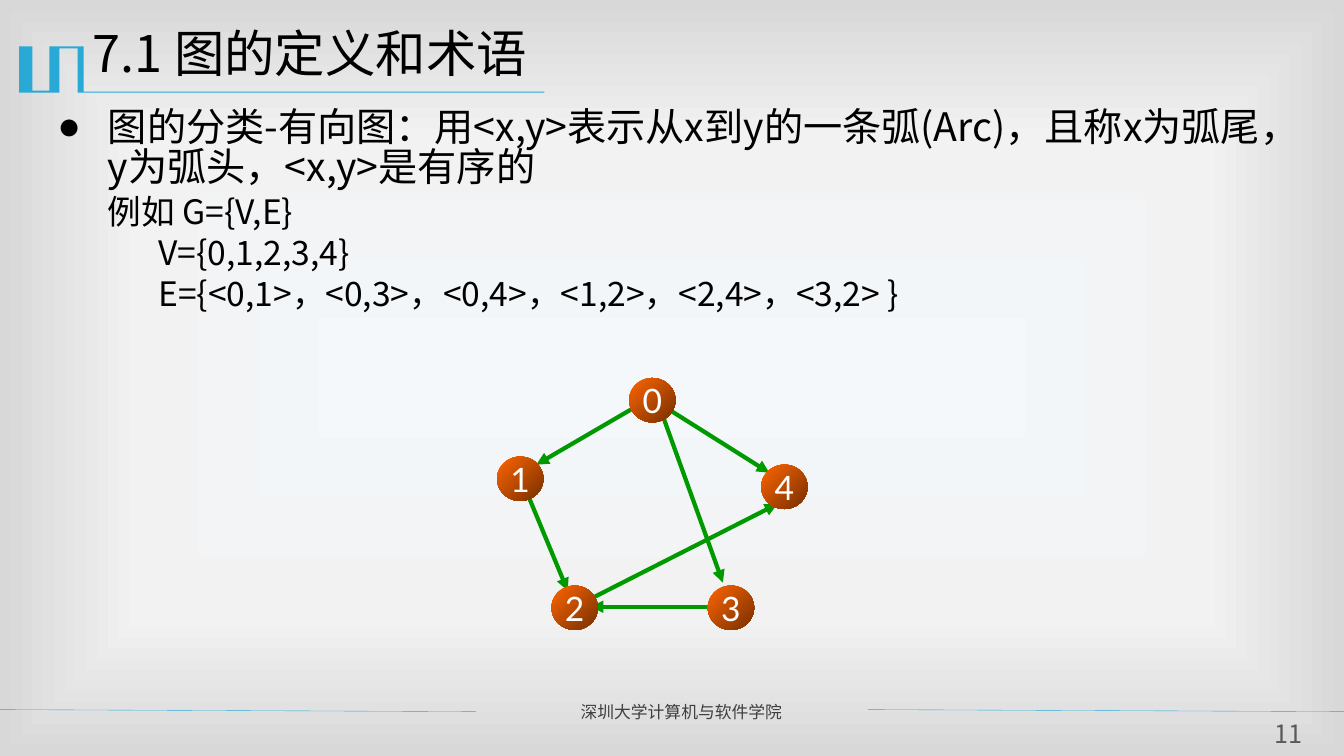
from pptx import Presentation, util as u
from pptx.dml.color import RGBColor
from pptx.enum import shapes, text
from pptx.oxml import parse_xml
from pptx.oxml.ns import nsdecls, qn
from lxml import etree

PX = 9144
theme = dict(
    font="Noto Sans CJK SC", node="Lato",
    ink="000000", blue="28A9D6", green="009900", foot="3F3F3F", num="595959",
    white="FFFFFF", glow=("FF6600", "762F00"),
    back=((0, "F4F8FB"), (63, "F2F2F2"), (100, "D8D8D8")),
    title=36, lead=28, body=24, page=18, small=12)


def write(par, words, size, color, font=theme["font"]):
    run = par.add_run()
    run.text = words
    run.font.size = u.Pt(size)
    run.font.color.rgb = RGBColor.from_string(color)
    run.font.name = font
    etree.SubElement(run._r.get_or_add_rPr(), qn("a:ea")).set("typeface", font)


def link(ends, color, width, arrow=False):
    line = slide.shapes.add_connector(
        shapes.MSO_CONNECTOR.STRAIGHT, *[v * PX for v in ends])
    line.line.color.rgb = RGBColor.from_string(color)
    line.line.width = u.Pt(width)
    if arrow:
        tip = etree.SubElement(line.line._get_or_add_ln(), qn("a:tailEnd"))
        tip.set("type", "triangle")
    etree.SubElement(line._element.spPr, qn("a:effectLst"))


deck = Presentation()
deck.slide_width, deck.slide_height = 1333 * PX, 750 * PX
slide = deck.slides.add_slide(deck.slide_layouts[1])

stops = "".join(
    f'<a:gs pos="{pos * 1000}"><a:srgbClr val="{color}"/></a:gs>'
    for pos, color in theme["back"])
slide._element.cSld.insert(0, parse_xml(
    f'<p:bg {nsdecls("p", "a")}><p:bgPr><a:gradFill><a:gsLst>{stops}</a:gsLst>'
    '<a:path path="rect"><a:fillToRect l="50000" t="50000" r="50000" b="50000"/>'
    '</a:path></a:gradFill><a:effectLst/></p:bgPr></p:bg>'))

trace = [(83, 46), (83, 91), (540, 91), (540, 92), (77, 92), (77, 48), (59, 48),
         (59, 92), (19, 92), (19, 46), (32, 46), (32, 90), (49, 90), (49, 46)]
pen = slide.shapes.build_freeform(*trace[0], scale=PX)
pen.add_line_segments(trace[1:], close=True)
mark = pen.convert_to_shape()
mark.shadow.inherit = False
mark.fill.solid()
mark.fill.fore_color.rgb = RGBColor.from_string(theme["blue"])
mark.line.fill.background()

for left, right in ((-1, 472), (861, 1333)):
    link((left, 704, right, 706), theme["blue"], 0.25)

title, body = slide.shapes.title, slide.placeholders[1]
for box, area in ((title, (82, 24, 1200, 87)), (body, (47, 104, 1213, 563))):
    box.left, box.top, box.width, box.height = [v * PX for v in area]
    box.text_frame.auto_size = text.MSO_AUTO_SIZE.NONE
    box.text_frame.vertical_anchor = text.MSO_ANCHOR.TOP

par = title.text_frame.paragraphs[0]
par.alignment = text.PP_ALIGN.LEFT
par.line_spacing = 0.9
write(par, "7.1 图的定义和术语", theme["title"], theme["ink"])

items = [
    ("图的分类-有向图：用<x,y>表示从x到y的一条弧(Arc)，且称x为弧尾，y为弧头，<x,y>是有序的",
     "lead", 0, 50, -50),
    ("例如 G={V,E}", "body", 0, 0, 50),
    ("V={0,1,2,3,4}", "body", 1, 50, 50),
    ("E={<0,1>，<0,3>，<0,4>，<1,2>，<2,4>，<3,2> }", "body", 1, 50, 50),
]
for i, (words, size, level, margin, indent) in enumerate(items):
    par = body.text_frame.add_paragraph() if i else body.text_frame.paragraphs[0]
    par.level = level
    props = par._p.get_or_add_pPr()
    props.set("marL", str(margin * PX))
    props.set("indent", str(indent * PX))
    if i:
        etree.SubElement(props, qn("a:buNone"))
    else:
        etree.SubElement(props, qn("a:buChar")).set("char", "●")
    par.alignment = text.PP_ALIGN.LEFT
    par.line_spacing = 0.85
    par.space_before = u.Pt(5 if i else 0)
    write(par, words, theme[size], theme["ink"])

notes = [
    ((566, 691, 285, 30), "深圳大学计算机与软件学院", "small", "foot", None),
    ((1248, 713, 59, 31), "11", "page", "num", 0),
]
for area, words, size, color, inset in notes:
    box = slide.shapes.add_textbox(*[v * PX for v in area])
    frame = box.text_frame
    frame.word_wrap = True
    par = frame.paragraphs[0]
    if inset is not None:
        frame.margin_left = frame.margin_right = inset
        frame.margin_top = frame.margin_bottom = inset
        par.alignment = text.PP_ALIGN.CENTER
    write(par, words, theme[size], theme[color])

arcs = [(663, 406, 763, 469), (524, 492, 563, 586), (640, 398, 532, 461),
        (655, 406, 717, 578), (702, 602, 586, 602), (586, 594, 771, 500)]
for ends in arcs:
    link(ends, theme["green"], 3, True)

nodes = {"1": (493, 453), "3": (702, 581), "2": (547, 581),
         "4": (755, 461), "0": (624, 375)}
for name, (left, top) in nodes.items():
    node = slide.shapes.add_shape(
        shapes.MSO_SHAPE.OVAL, left * PX, top * PX, 46 * PX, 44 * PX)
    node.shadow.inherit = False
    node.line.fill.background()
    node.fill.gradient()
    node.fill.gradient_angle = -45
    for stop, color, pos in zip(node.fill.gradient_stops, theme["glow"], (0, 1)):
        stop.color.rgb = RGBColor.from_string(color)
        stop.position = pos
    frame = node.text_frame
    frame.word_wrap = False
    frame.margin_left = frame.margin_right = 0
    frame.vertical_anchor = text.MSO_ANCHOR.MIDDLE
    par = frame.paragraphs[0]
    par.alignment = text.PP_ALIGN.CENTER
    write(par, name, theme["body"], theme["white"], theme["node"])

deck.save("out.pptx")
